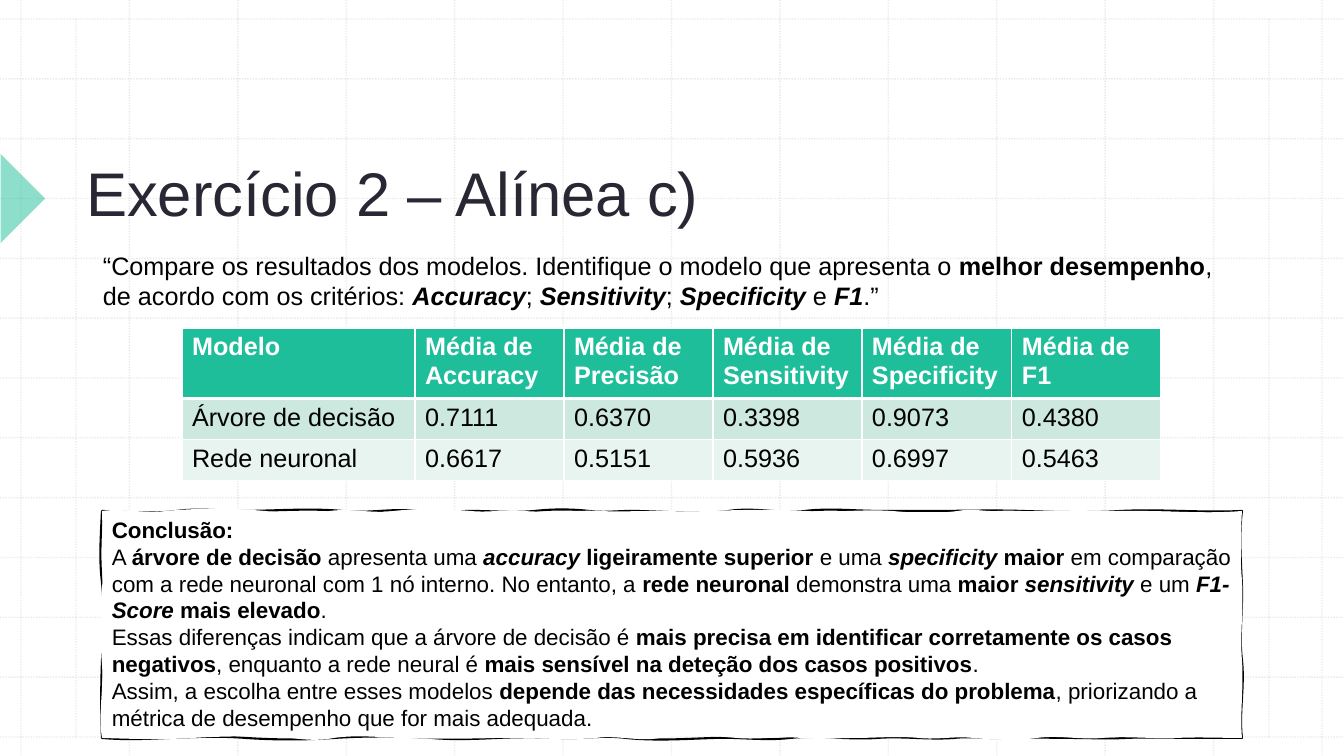
from typing import NamedTuple

from lxml.etree import SubElement
from pptx import Presentation
from pptx.dml.color import RGBColor
from pptx.enum.dml import MSO_LINE_DASH_STYLE as Dash
from pptx.enum.shapes import MSO_CONNECTOR as Connector, MSO_SHAPE as Preset
from pptx.enum.text import MSO_ANCHOR as Anchor, MSO_AUTO_SIZE as AutoSize, PP_ALIGN as Align
from pptx.oxml.ns import qn
from pptx.util import Emu, Pt

WHITE = RGBColor(0xFF, 0xFF, 0xFF)
BLACK = RGBColor(0x00, 0x00, 0x00)
INK = RGBColor(0x2A, 0x27, 0x35)
GREEN = RGBColor(0x1E, 0xBE, 0x9B)
MINT = RGBColor(0xCD, 0xE8, 0xDE)
PALE_MINT = RGBColor(0xE8, 0xF4, 0xEF)
GRID_GREY = RGBColor(0xBC, 0xBC, 0xBC)

FONT = "Arial"
PAGE_WIDTH, PAGE_HEIGHT = 1344, 756
GRID_STEPS = 12
GRID_LEFT, GRID_RIGHT, GRID_TOP, GRID_BOTTOM = 21, 1322, 19, 737
MARGIN_LINES = (76, 1269)
FRAME_LEFT, FRAME_RIGHT, FRAME_TOP, FRAME_BOTTOM = 102, 1242, 511, 738
MASTER_ID_OFFSET = 100

COLUMN_WIDTHS = (233, 149, 149, 149, 150, 149)
ROW_HEIGHT, TABLE_HEIGHT = 41, 152
ROW_FILLS = (GREEN, MINT, PALE_MINT)
RESULTS = (
    ("Modelo", "Média de Accuracy", "Média de Precisão", "Média de Sensitivity",
     "Média de Specificity", "Média de F1"),
    ("Árvore de decisão", "0.7111", "0.6370", "0.3398", "0.9073", "0.4380"),
    ("Rede neuronal", "0.6617", "0.5151", "0.5936", "0.6997", "0.5463"),
)

# In these texts * switches bold and _ switches italic
QUESTION = (
    "“Compare os resultados dos modelos. Identifique o modelo que apresenta o "
    "*melhor desempenho*, de acordo com os critérios: *_Accuracy_*; *_Sensitivity_*; "
    "*_Specificity_* e *_F1_*.”",
)
CONCLUSION = (
    "*Conclusão:*",
    "A *árvore de decisão* apresenta uma *_accuracy_ ligeiramente superior* e uma "
    "*_specificity_ maior* em comparação com a rede neuronal com 1 nó interno. No entanto, "
    "a *rede neuronal* demonstra uma *maior _sensitivity_* e um *_F1-Score_ mais elevado*.",
    "Essas diferenças indicam que a árvore de decisão é *mais precisa em identificar "
    "corretamente os casos negativos*, enquanto a rede neural é *mais sensível na deteção "
    "dos casos positivos*.",
    "Assim, a escolha entre esses modelos *depende das necessidades específicas do "
    "problema*, priorizando a métrica de desempenho que for mais adequada.",
)


class Edge(NamedTuple):
    """A wavy side: knots are (place along the side, sideways lean)."""
    horizontal: bool
    level: int
    knots: tuple[tuple[int, int], ...]


OUTLINE = (
    Edge(True, FRAME_TOP, (
        (102, 1), (177, -3), (242, 0), (342, 3), (417, 3), (471, 0), (535, -2), (589, 2),
        (630, 0), (729, -4), (805, -3), (881, 0), (934, 0), (1022, 1), (1121, -2), (1242, -2))),
    Edge(False, FRAME_RIGHT, ((511, -3), (585, 1), (660, 3), (738, 3))),
    Edge(True, FRAME_BOTTOM, (
        (1242, 0), (1200, 0), (1125, 1), (1072, 0), (1007, 1), (954, 2), (877, 2), (790, 3),
        (714, 1), (626, -3), (561, -1), (497, 1), (432, -2), (334, 2), (246, -2), (170, 1),
        (102, -2))),
    Edge(False, FRAME_LEFT, ((738, -1), (662, 1), (582, -3), (511, 1))),
)
PAPER = (
    Edge(True, FRAME_TOP, (
        (102, -3), (166, -3), (265, 3), (330, -3), (394, -3), (471, 2), (524, 2), (600, 1),
        (653, 0), (707, -1), (805, 2), (892, 2), (958, -3), (999, -1), (1041, -1), (1140, 0),
        (1242, -3))),
    Edge(False, FRAME_RIGHT, ((511, -1), (580, 2), (660, 2), (738, 2))),
    Edge(True, FRAME_BOTTOM, (
        (1242, 0), (1177, 1), (1102, 2), (1037, 3), (973, -2), (919, -2), (855, 0), (801, -2),
        (737, -2), (660, 4), (596, 3), (497, 1), (398, -1), (334, 3), (291, -2), (193, 2),
        (102, -1))),
    Edge(False, FRAME_LEFT, ((738, -4), (664, -2), (594, 1), (511, -1))),
)


def px(length: float) -> Emu:
    return Emu(round(length * 914400 / 100.8))


def set_alpha(fill_parent, percent: int) -> None:
    color = fill_parent.find(qn("a:solidFill"))[0]
    SubElement(color, qn("a:alpha"), val=str(percent * 1000))


def write(para, text: str, *, size: int, color: RGBColor = BLACK, bold: bool = False) -> None:
    para.alignment = Align.LEFT
    for bold_turn, part in enumerate(text.split("*")):
        for italic_turn, piece in enumerate(part.split("_")):
            if piece:
                span = para.add_run()
                span.text = piece
                span.font.name, span.font.size = FONT, Pt(size)
                span.font.color.rgb = color
                span.font.bold = bold or bold_turn % 2 == 1
                span.font.italic = italic_turn % 2 == 1


def write_all(frame, texts: tuple[str, ...], *, size: int) -> None:
    frame.word_wrap = True
    frame.auto_size = AutoSize.SHAPE_TO_FIT_TEXT
    frame.vertical_anchor = Anchor.TOP
    for index, text in enumerate(texts):
        para = frame.add_paragraph() if index else frame.paragraphs[0]
        write(para, text, size=size)


def add_grid_line(group, x1: float, y1: float, x2: float, y2: float) -> None:
    line = group.shapes.add_connector(Connector.STRAIGHT, px(x1), px(y1), px(x2), px(y2))
    line.line.color.rgb = GRID_GREY
    line.line.width = Pt(1)
    line.line.dash_style = Dash.ROUND_DOT
    set_alpha(line.line._get_or_add_ln(), 30)
    SubElement(line._element.spPr, qn("a:effectLst"))


def move_to_master(deck, shapes: tuple) -> None:
    """Put decoration behind the master's placeholders, with ids free there."""
    tree = deck.slide_master.shapes._spTree
    for index, shape in enumerate(shapes):
        for properties in shape._element.iter(qn("p:cNvPr")):
            properties.set("id", str(int(properties.get("id")) + MASTER_ID_OFFSET))
        tree.insert(2 + index, shape._element)


def add_point(step, edge: Edge, along: float, lean: int = 0) -> None:
    across = edge.level + lean
    x, y = (along, across) if edge.horizontal else (across, along)
    SubElement(step, qn("a:pt"), x=str(px(x - FRAME_LEFT)), y=str(px(y - FRAME_TOP)))


def add_wavy_outline(outlines, edges: tuple[Edge, ...], **drawing: str) -> None:
    outline = SubElement(outlines, qn("a:path"), w=str(px(FRAME_RIGHT - FRAME_LEFT)),
                         h=str(px(FRAME_BOTTOM - FRAME_TOP)), **drawing)
    add_point(SubElement(outline, qn("a:moveTo")), edges[0], edges[0].knots[0][0])
    for edge in edges:
        for (start, lean), (end, next_lean) in zip(edge.knots, edge.knots[1:]):
            curve = SubElement(outline, qn("a:cubicBezTo"))
            add_point(curve, edge, start + (end - start) / 3, lean)
            add_point(curve, edge, end - (end - start) / 3, -next_lean)
            add_point(curve, edge, end)
    SubElement(outline, qn("a:close"))


def add_conclusion(page) -> None:
    builder = page.shapes.build_freeform(px(FRAME_LEFT), px(FRAME_TOP), scale=1.0)
    corners = ((FRAME_RIGHT, FRAME_TOP), (FRAME_RIGHT, FRAME_BOTTOM), (FRAME_LEFT, FRAME_BOTTOM))
    builder.add_line_segments([(px(x), px(y)) for x, y in corners], close=True)
    box = builder.convert_to_shape()
    # The black outline is partly covered by white paper
    outlines = next(box._element.iter(qn("a:pathLst")))
    outlines.remove(outlines[0])
    add_wavy_outline(outlines, OUTLINE, fill="none")
    add_wavy_outline(outlines, PAPER, stroke="0")
    box.shadow.inherit = False
    box.fill.solid()
    box.fill.fore_color.rgb = WHITE
    box.line.color.rgb = BLACK
    box.line.width = Pt(1.5)
    write_all(box.text_frame, CONCLUSION, size=16)


def set_borders(cell, **widths: int) -> None:
    properties = cell._tc.get_or_add_tcPr()
    for index, side in enumerate("LRTB"):
        border = SubElement(properties, qn(f"a:ln{side}"), w=str(Pt(widths.get(side, 1))))
        fill = SubElement(border, qn("a:solidFill"))
        SubElement(fill, qn("a:srgbClr"), val=str(WHITE))
        properties.insert(index, border)


def add_results(page) -> None:
    holder = page.shapes.add_table(len(RESULTS), len(COLUMN_WIDTHS), px(182), px(328),
                                   px(sum(COLUMN_WIDTHS)), px(TABLE_HEIGHT))
    table = holder.table
    for column, width in zip(table.columns, COLUMN_WIDTHS):
        column.width = px(width)
    for row_index, values in enumerate(RESULTS):
        table.rows[row_index].height = px(ROW_HEIGHT)
        header = row_index == 0
        for cell, value in zip(table.rows[row_index].cells, values):
            cell.fill.solid()
            cell.fill.fore_color.rgb = ROW_FILLS[row_index]
            set_borders(cell, B=3 if header else 1, T=3 if row_index == 1 else 1)
            write(cell.text_frame.paragraphs[0], value, size=18,
                  color=WHITE if header else BLACK, bold=header)
    holder.height = px(TABLE_HEIGHT)


def main() -> None:
    deck = Presentation()
    deck.slide_width, deck.slide_height = px(PAGE_WIDTH), px(PAGE_HEIGHT)
    page = deck.slides.add_slide(deck.slide_layouts[5])

    # Dotted background grid
    grid = page.shapes.add_group_shape()
    for step in range(GRID_STEPS + 1):
        x = GRID_LEFT + (GRID_RIGHT - GRID_LEFT) * step / GRID_STEPS
        y = GRID_TOP + (GRID_BOTTOM - GRID_TOP) * step / GRID_STEPS
        add_grid_line(grid, x, 0, x, PAGE_HEIGHT)
        add_grid_line(grid, 0, y, PAGE_WIDTH, y)
    for x in MARGIN_LINES:
        add_grid_line(grid, x, GRID_TOP, x, GRID_BOTTOM)

    # Title marker
    marker = page.shapes.add_shape(Preset.RIGHT_TRIANGLE, px(-31), px(167), px(63), px(63))
    marker.rotation = 225
    marker.shadow.inherit = False
    marker.fill.solid()
    marker.fill.fore_color.rgb = GREEN
    set_alpha(marker._element.spPr, 50)
    marker.line.fill.background()
    move_to_master(deck, (grid, marker))

    # Title and question
    title = page.shapes.title
    title.left, title.top, title.width, title.height = px(76), px(80), px(1157), px(154)
    title.text_frame.vertical_anchor = Anchor.BOTTOM
    title.text_frame.auto_size = AutoSize.NONE
    write(title.text_frame.paragraphs[0], "Exercício 2 – Alínea c)", size=44, color=INK)
    question = page.shapes.add_textbox(px(93), px(245), px(1157), px(72))
    write_all(question.text_frame, QUESTION, size=18)

    add_results(page)
    add_conclusion(page)
    deck.save("out.pptx")


if __name__ == "__main__":
    main()
